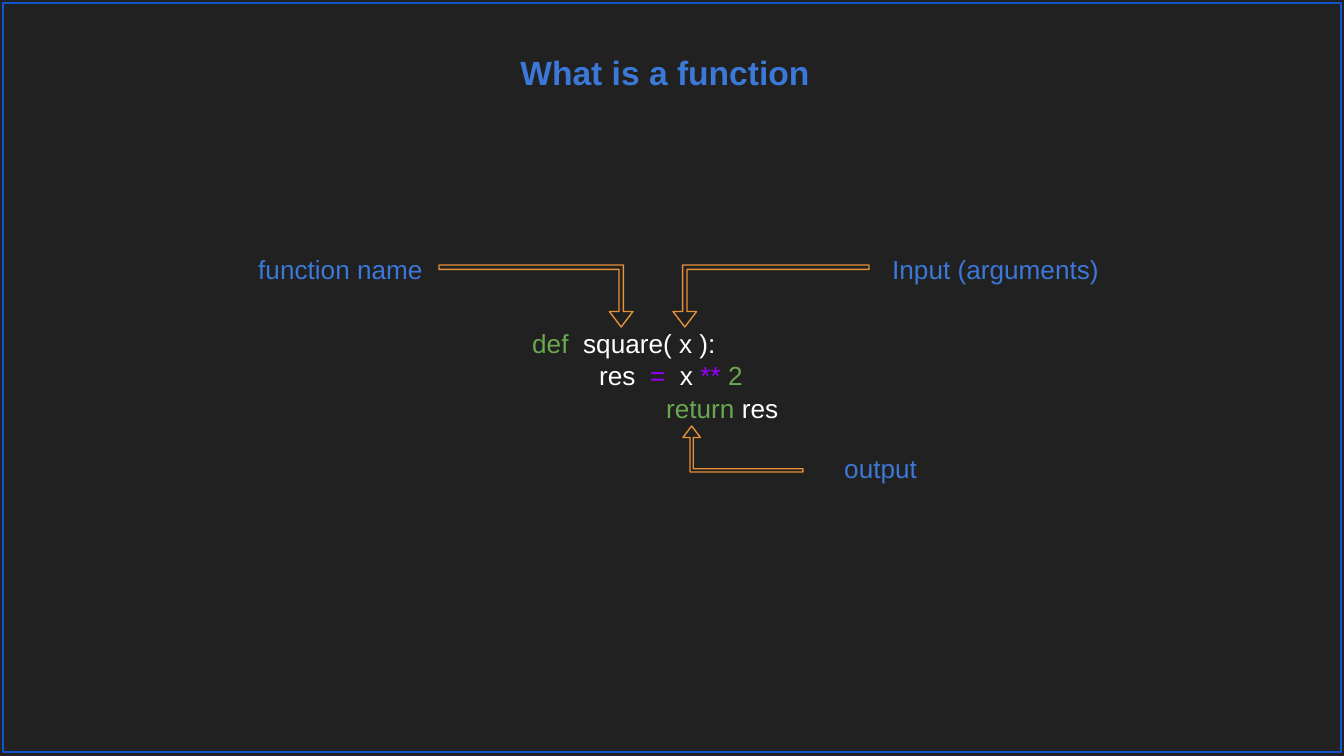
from typing import NamedTuple

from pptx import Presentation
from pptx.dml.color import RGBColor
from pptx.enum.shapes import MSO_SHAPE as Preset
from pptx.enum.text import MSO_ANCHOR as Anchor, MSO_AUTO_SIZE as AutoSize, PP_ALIGN as Align
from pptx.util import Inches, Pt

EMU_PER_PX = Inches(10) / 1344
BACKGROUND, BLUE, BORDER = "212121", "3C78D8", "1155CC"
GREEN, WHITE, PURPLE, ORANGE = "6AA84F", "FFFFFF", "9900FF", "E69138"


class Box(NamedTuple):
    left: int
    top: int
    width: int
    height: int


class Piece(NamedTuple):
    text: str
    color: str


class Line(NamedTuple):
    pieces: list[Piece]
    indent: int = 0


class Label(NamedTuple):
    text: str
    box: Box


class Arrow(NamedTuple):
    box: Box
    rotation: int
    flipped: bool


TITLE = Label("What is a function", Box(-7, 38, 1344, 85))
CODE_BOX = Box(519, 312, 293, 122)
CODE = [
    Line([Piece("def", GREEN), Piece("  square( x ):", WHITE)]),
    Line([Piece("res  ", WHITE), Piece("=  ", PURPLE), Piece("x ", WHITE),
          Piece("** ", PURPLE), Piece("2", GREEN)], indent=67),
    Line([Piece("return", GREEN), Piece(" res", WHITE)], indent=134),
]
LABELS = [
    Label("function name", Box(245, 238, 215, 59)),
    Label("output", Box(831, 437, 215, 59)),
    Label("Input (arguments)", Box(879, 238, 263, 59)),
]
ARROWS = [
    Arrow(Box(439, 265, 194, 62), 180, True),
    Arrow(Box(673, 265, 196, 62), 180, False),
    Arrow(Box(683, 426, 120, 46), 0, True),
]
FRAME = Box(3, 3, 1338, 749)


def px(length: int) -> int:
    return round(length * EMU_PER_PX)


def emu(box: Box) -> list[int]:
    return [px(length) for length in box]


def rgb(color: str) -> RGBColor:
    return RGBColor.from_string(color)


def format_font(font, color: str, size: int = 14, bold: bool = False) -> None:
    font.name, font.size, font.bold = "Arial", Pt(size), bold
    font.color.rgb = rgb(color)


def prepare_frame(frame) -> None:
    frame.word_wrap = True
    frame.auto_size = AutoSize.NONE
    frame.vertical_anchor = Anchor.TOP
    frame.margin_left = frame.margin_right = Inches(0.1)
    frame.margin_top = frame.margin_bottom = Inches(0.1)


def fill_title(title, label: Label) -> None:
    title.left, title.top, title.width, title.height = emu(label.box)
    prepare_frame(title.text_frame)
    title.text_frame.text = label.text
    heading = title.text_frame.paragraphs[0]
    heading.alignment = Align.CENTER
    format_font(heading.runs[0].font, BLUE, size=18, bold=True)


def add_text(slide, box: Box, lines: list[Line]) -> None:
    frame = slide.shapes.add_textbox(*emu(box)).text_frame
    prepare_frame(frame)
    for number, line in enumerate(lines):
        paragraph = frame.add_paragraph() if number else frame.paragraphs[0]
        paragraph.line_spacing = 1.05
        if line.indent:
            properties = paragraph._p.get_or_add_pPr()
            properties.set("marL", "0")
            properties.set("indent", str(px(line.indent)))
        for piece in line.pieces:
            run = paragraph.add_run()
            run.text = piece.text
            format_font(run.font, piece.color)


def add_outline(slide, preset: Preset, box: Box, color: str):
    shape = slide.shapes.add_shape(preset, *emu(box))
    shape.shadow.inherit = False
    shape.fill.background()
    shape.line.color.rgb = rgb(color)
    shape.line.width = Pt(0.75)
    return shape


def add_arrow(slide, arrow: Arrow) -> None:
    shape = add_outline(slide, Preset.BENT_UP_ARROW, arrow.box, ORANGE)
    for index, ratio in enumerate((0.07, 0.19, 0.25)):
        shape.adjustments[index] = ratio
    shape.rotation = arrow.rotation
    if arrow.flipped:
        shape._element.spPr.xfrm.set("flipH", "1")


def main() -> None:
    deck = Presentation()
    deck.slide_width, deck.slide_height = px(1344), px(756)
    slide = deck.slides.add_slide(deck.slide_layouts[5])
    slide.background.fill.solid()
    slide.background.fill.fore_color.rgb = rgb(BACKGROUND)

    fill_title(slide.shapes.title, TITLE)
    add_text(slide, CODE_BOX, CODE)
    for label in LABELS:
        add_text(slide, label.box, [Line([Piece(label.text, BLUE)])])
    for arrow in ARROWS:
        add_arrow(slide, arrow)
    add_outline(slide, Preset.RECTANGLE, FRAME, BORDER)
    deck.save("out.pptx")


if __name__ == "__main__":
    main()
